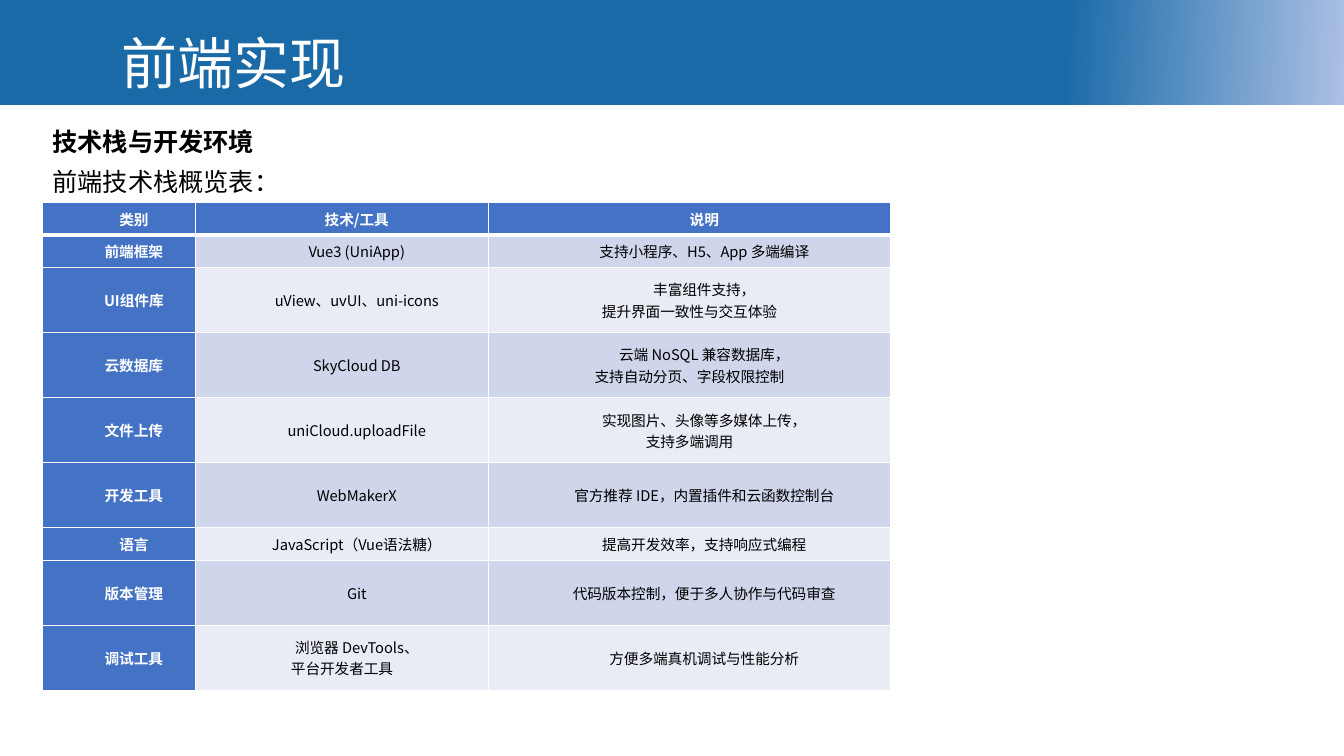
"""Build the front-end implementation slide with its technology stack table."""
from lxml import etree
from pptx import Presentation
from pptx import util as u
from pptx.dml.color import RGBColor
from pptx.enum import shapes, text
from pptx.oxml import ns

TITLE = "前端实现"
HEADING = "技术栈与开发环境"
CAPTION = "前端技术栈概览表："
STACK = [
    ("类别", "技术/工具", "说明"),
    ("前端框架", "Vue3 (UniApp)", "支持小程序、H5、App 多端编译"),
    ("UI组件库", "uView、uvUI、uni-icons", "丰富组件支持，\n提升界面一致性与交互体验"),
    ("云数据库", "SkyCloud DB", "云端 NoSQL 兼容数据库，\n支持自动分页、字段权限控制"),
    ("文件上传", "uniCloud.uploadFile", "实现图片、头像等多媒体上传，\n支持多端调用"),
    ("开发工具", "WebMakerX", "官方推荐 IDE，内置插件和云函数控制台"),
    ("语言", "JavaScript（Vue语法糖）", "提高开发效率，支持响应式编程"),
    ("版本管理", "Git", "代码版本控制，便于多人协作与代码审查"),
    ("调试工具", "浏览器 DevTools、\n平台开发者工具", "方便多端真机调试与性能分析"),
]
SHORT_ROWS = {0, 1, 6}
SHORT, TALL = 23.2, 46.5
COLUMNS = (109.5, 209, 287.5)
PAGE_WIDTH, PAGE_HEIGHT = 960, 540
LEFT, TABLE_TOP = 30.4, 144.7

THEME = {
    "font": "Noto Sans CJK SC",
    "title": 40, "body": 18, "cell": 10.5,
    "white": "FFFFFF", "black": "000000",
    "banner": "1A6AA8", "banner_end": "ABC0E4",
    "head": "4472C4", "bands": ("E9EBF5", "CFD5EA"),
}


def rgb(name):
    return RGBColor.from_string(THEME.get(name, name))


def style(para, size, color, bold=False):
    for span in para.runs:
        font = span.font
        font.size, font.bold = u.Pt(THEME[size]), bold
        font.color.rgb = rgb(color)
        font.name = THEME["font"]
        east = etree.SubElement(span._r.get_or_add_rPr(), ns.qn("a:ea"))
        east.set("typeface", THEME["font"])


def add_text(page, words, frame, size, color, bold=False, wrap=True, inset=None):
    box = page.shapes.add_textbox(*map(u.Pt, frame))
    body = box.text_frame
    body.word_wrap = wrap
    body.auto_size = text.MSO_AUTO_SIZE.SHAPE_TO_FIT_TEXT
    if inset is not None:
        body.margin_left = body.margin_right = u.Pt(inset)
        body.margin_top = body.margin_bottom = u.Pt(inset)
    para = body.paragraphs[0]
    para.text = words
    style(para, size, color, bold)
    return para


def add_banner(page):
    banner = page.shapes.add_shape(
        shapes.MSO_SHAPE.RECTANGLE, 0, 0, u.Pt(PAGE_WIDTH), u.Pt(75))
    banner.shadow.inherit = False
    banner.line.fill.background()
    banner.fill.gradient()
    banner.fill.gradient_angle = 357
    stops = zip(banner.fill.gradient_stops, (0.79, 1), ("banner", "banner_end"))
    for stop, position, color in stops:
        stop.position = position
        stop.color.rgb = rgb(color)


def add_borders(cell, bottom):
    properties = cell._tc.get_or_add_tcPr()
    for side, width in (("L", 1), ("R", 1), ("T", 1), ("B", bottom)):
        line = etree.SubElement(properties, ns.qn("a:ln" + side), w=str(u.Pt(width)))
        fill = etree.SubElement(line, ns.qn("a:solidFill"))
        etree.SubElement(fill, ns.qn("a:srgbClr"), val=THEME["white"])


def fill_cell(cell, words, row, column):
    strong = row == 0 or column == 0
    add_borders(cell, 3 if row == 0 else 1)
    cell.fill.solid()
    cell.fill.fore_color.rgb = rgb("head" if strong else THEME["bands"][row % 2])
    cell.vertical_anchor = text.MSO_ANCHOR.MIDDLE
    cell.margin_left = cell.margin_right = u.Pt(5)
    cell.margin_top = cell.margin_bottom = 0
    para = cell.text_frame.paragraphs[0]
    para.text = words
    para.alignment = text.PP_ALIGN.CENTER
    para.space_after = u.Pt(4)
    para._p.get_or_add_pPr().set("indent", str(u.Pt(21)))
    style(para, "cell", "white" if strong else "black", strong)


def add_stack_table(page):
    heights = [SHORT if row in SHORT_ROWS else TALL for row in range(len(STACK))]
    frame = (LEFT, TABLE_TOP, sum(COLUMNS), sum(heights))
    table = page.shapes.add_table(
        len(STACK), len(COLUMNS), *map(u.Pt, frame)).table
    for column, width in zip(table.columns, COLUMNS):
        column.width = u.Pt(width)
    for row, (height, entries) in enumerate(zip(heights, STACK)):
        table.rows[row].height = u.Pt(height)
        for column, words in enumerate(entries):
            fill_cell(table.cell(row, column), words, row, column)


def main():
    deck = Presentation()
    deck.slide_width, deck.slide_height = u.Pt(PAGE_WIDTH), u.Pt(PAGE_HEIGHT)
    page = deck.slides.add_slide(deck.slide_layouts[6])
    add_banner(page)
    title = add_text(page, TITLE, (87, 10.8, 346.3, 53.3), "title", "white", inset=0)
    title.line_spacing = u.Pt(57.6)
    add_text(page, HEADING, (LEFT, 86.4, 160, 29), "body", "black", bold=True, wrap=False)
    add_text(page, CAPTION, (LEFT, 115.2, 507, 29), "body", "black")
    add_stack_table(page)
    deck.save("out.pptx")


if __name__ == "__main__":
    main()
